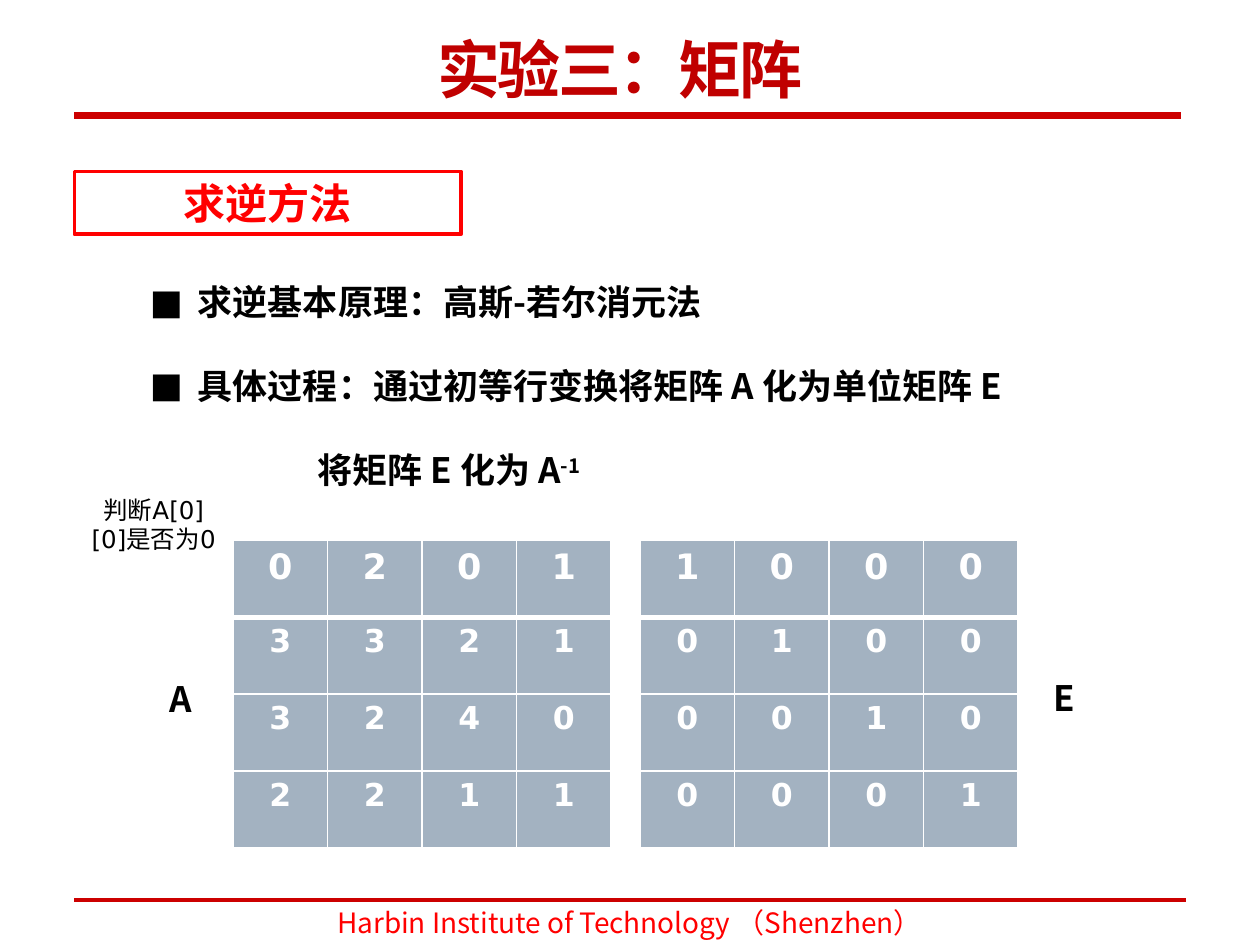
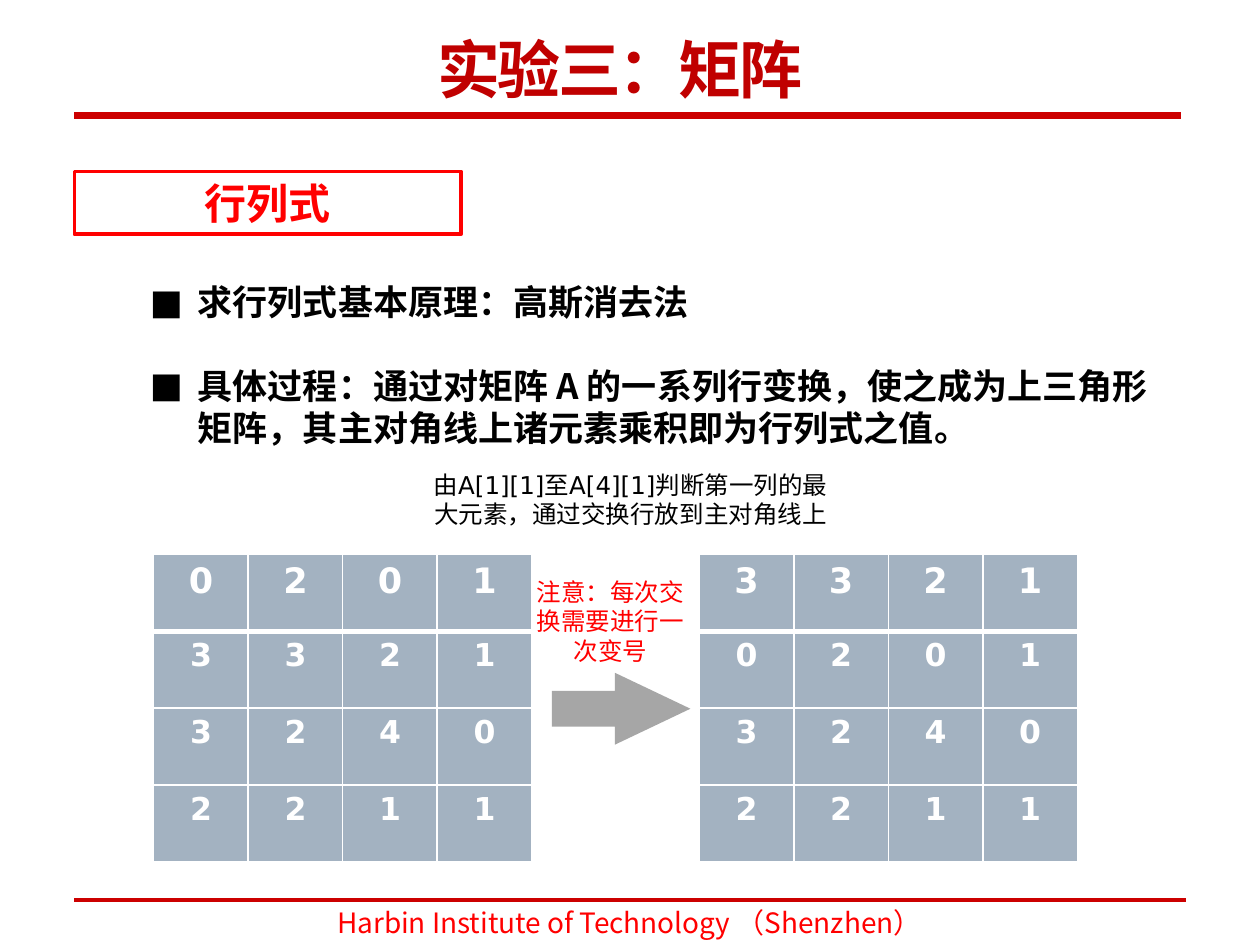
from dataclasses import dataclass

from lxml import etree
from pptx import Presentation
from pptx.dml.color import RGBColor
from pptx.enum.shapes import MSO_CONNECTOR, MSO_SHAPE
from pptx.enum.text import MSO_ANCHOR, MSO_AUTO_SIZE, PP_ALIGN
from pptx.oxml.ns import qn
from pptx.util import Inches, Pt

CENTER, LEFT = PP_ALIGN.CENTER, PP_ALIGN.LEFT
TOP, MIDDLE, BOTTOM = MSO_ANCHOR.TOP, MSO_ANCHOR.MIDDLE, MSO_ANCHOR.BOTTOM
NO_FIT = MSO_AUTO_SIZE.NONE
STRAIGHT = MSO_CONNECTOR.STRAIGHT
RECTANGLE, RIGHT_ARROW = MSO_SHAPE.RECTANGLE, MSO_SHAPE.RIGHT_ARROW


@dataclass(frozen=True)
class Theme:
    rule: str = "CC0000"
    title: str = "C00000"
    accent: str = "FF0000"
    text: str = "000000"
    cell: str = "A3B2C1"
    white: str = "FFFFFF"
    arrow: str = "A6A6A6"
    sans: str = "DejaVu Sans"
    cjk: str = "Noto Sans CJK SC"
    footer_font: str = "Noto Sans CJK JP"
    title_size: int = 36
    heading_size: int = 24
    body_size: int = 20
    cell_size: int = 18
    footer_size: int = 16
    note_size: int = 14


T = Theme()
MARGIN = 0.59
CELL_W, CELL_H = 0.75, 0.61
BODY = {"size": T.body_size, "color": T.text, "font": T.cjk, "bold": True}
NOTE = {"size": T.note_size, "color": T.text, "font": T.sans, "bold": False}
WARNING = {**NOTE, "color": T.accent}
HEADING = {**BODY, "size": T.heading_size, "color": T.accent}
TITLE = {"size": T.title_size, "color": T.title, "font": T.sans, "bold": True}
FOOTER = {"size": T.footer_size, "color": T.accent, "font": T.footer_font, "bold": False}

MATRIX_A = ["0201", "3321", "3240", "2211"]
MATRIX_E = ["1000", "0100", "0010", "0001"]
MATRIX_SWAPPED = ["3321", "0201", "3240", "2211"]


def box(*lengths):
    return [Inches(v) for v in lengths]


def rgb(color):
    return RGBColor.from_string(color)


def add_run(p, text, style):
    r = p.add_run()
    r.text = text
    for name, value in {"size": Pt(style["size"]), "bold": style["bold"],
                        "name": style["font"]}.items():
        setattr(r.font, name, value)
    r.font.color.rgb = rgb(style["color"])
    east = T.cjk if style["font"] == T.sans else style["font"]
    etree.SubElement(r._r.get_or_add_rPr(), qn("a:ea"), typeface=east)
    return r


def set_frame(tf, anchor=TOP):
    for name, value in {"auto_size": NO_FIT, "word_wrap": True,
                        "vertical_anchor": anchor}.items():
        setattr(tf, name, value)


def place(sp, at):
    for name, value in zip(("left", "top", "width", "height"), box(*at)):
        setattr(sp, name, value)


def add_text(s, at, text, style, align=CENTER):
    tf = s.shapes.add_textbox(*box(*at)).text_frame
    set_frame(tf)
    p = tf.paragraphs[0]
    p.alignment = align
    add_run(p, text, style)


def add_rule(s, layout, y, right, width):
    line = s.shapes.add_connector(STRAIGHT, *box(MARGIN, y, right, y))
    line.line.color.rgb = rgb(T.rule)
    line.line.width = Pt(width)
    etree.SubElement(line._element.spPr, qn("a:effectLst"))
    layout.shapes._spTree.append(line._element)


def add_title(s, text):
    sp = s.shapes.title
    place(sp, (1.06, 0.21, 7.72, 0.68))
    set_frame(sp.text_frame, BOTTOM)
    p = sp.text_frame.paragraphs[0]
    p.alignment = CENTER
    add_run(p, text, TITLE)._r.get_or_add_rPr().set("spc", "-150")


def add_heading(s, text):
    sp = s.shapes.add_shape(RECTANGLE, *box(MARGIN, 1.36, 3.07, 0.5))
    sp.shadow.inherit = False
    sp.fill.background()
    sp.line.color.rgb = rgb(T.accent)
    sp.line.width = Pt(2)
    set_frame(sp.text_frame, MIDDLE)
    p = sp.text_frame.paragraphs[0]
    p.alignment = CENTER
    add_run(p, text, HEADING)


def set_indent(p, left, hanging=0.0, bullet=None):
    pPr = p._p.get_or_add_pPr()
    pPr.set("marL", str(Inches(left)))
    pPr.set("indent", str(Inches(-hanging)))
    if bullet:
        etree.SubElement(pPr, qn("a:buFont"), typeface=T.sans)
        etree.SubElement(pPr, qn("a:buChar"), char=bullet)
    else:
        etree.SubElement(pPr, qn("a:buNone"))


def add_body(s, height, bullets, result=None):
    sp = s.placeholders[1]
    place(sp, (MARGIN, 2.18, 8.74, height))
    tf = sp.text_frame
    set_frame(tf)
    for i, text in enumerate(bullets + ([result] if result else [])):
        p = tf.paragraphs[0] if i == 0 else tf.add_paragraph()
        for name, value in {"alignment": LEFT, "space_before": Pt(12),
                            "space_after": Pt(12)}.items():
            setattr(p, name, value)
        if i < len(bullets):
            set_indent(p, 0.88, 0.38, "■")
            add_run(p, text, BODY)
        else:
            set_indent(p, 1.83)
            base, power = text
            add_run(p, base, BODY)
            add_run(p, power, BODY)._r.get_or_add_rPr().set("baseline", "30000")


def set_borders(cell, bottom, top):
    tcPr = cell._tc.get_or_add_tcPr()
    for i, (side, width) in enumerate((("L", 1), ("R", 1), ("T", top), ("B", bottom))):
        ln = etree.Element(qn(f"a:ln{side}"), w=str(Pt(width)))
        fill = etree.SubElement(ln, qn("a:solidFill"))
        etree.SubElement(fill, qn("a:srgbClr"), val=T.white)
        tcPr.insert(i, ln)


def add_matrix(s, left, top, rows):
    count = len(rows)
    table = s.shapes.add_table(count, count, *box(left, top, CELL_W * count, CELL_H * count)).table
    for i, row in enumerate(rows):
        table.rows[i].height = Inches(CELL_H)
        table.columns[i].width = Inches(CELL_W)
        size = T.body_size if i == 0 else T.cell_size
        style = {"size": size, "color": T.white, "font": T.sans, "bold": True}
        for j, value in enumerate(row):
            cell = table.cell(i, j)
            cell.fill.solid()
            cell.fill.fore_color.rgb = rgb(T.cell)
            set_borders(cell, 3 if i == 0 else 1, 3 if i == 1 else 1)
            p = cell.text_frame.paragraphs[0]
            p.alignment = CENTER
            add_run(p, value, style)


def add_arrow(s, at):
    sp = s.shapes.add_shape(RIGHT_ARROW, *box(*at))
    sp.shadow.inherit = False
    sp.fill.solid()
    sp.fill.fore_color.rgb = rgb(T.arrow)
    sp.line.fill.background()
    sp.adjustments[0] = 0.5
    sp.adjustments[1] = 1.05


def add_page(prs, heading):
    s = prs.slides.add_slide(prs.slide_layouts[1])
    add_title(s, "实验三：矩阵")
    add_heading(s, heading)
    add_text(s, (1.69, 7.14, 6.61, 0.36), "Harbin Institute of Technology （Shenzhen）", FOOTER)
    return s


def build_inverse(prs):
    s = add_page(prs, "求逆方法")
    add_body(s, 1.78, ["求逆基本原理：高斯-若尔消元法",
                       "具体过程：通过初等行变换将矩阵 A 化为单位矩阵 E"],
             ("将矩阵 E 化为 A", "-1"))
    add_matrix(s, 1.85, 4.29, MATRIX_A)
    add_matrix(s, 5.08, 4.29, MATRIX_E)
    add_text(s, (1.25, 5.33, 0.76, 0.44), "A", BODY, LEFT)
    add_text(s, (8.26, 5.32, 0.76, 0.44), "E", BODY, LEFT)
    add_text(s, (MARGIN, 3.88, 1.26, 0.57), "判断A[0][0]是否为0", NOTE)
    return s


def build_determinant(prs):
    s = add_page(prs, "行列式")
    add_body(s, 1.45, ["求行列式基本原理：高斯消去法",
                       "具体过程：通过对矩阵 A 的一系列行变换，使之成为上三角形矩阵，"
                       "其主对角线上诸元素乘积即为行列式之值。"])
    add_matrix(s, 1.22, 4.4, MATRIX_A)
    add_matrix(s, 5.55, 4.4, MATRIX_SWAPPED)
    add_text(s, (3.31, 3.68, 3.39, 0.81),
             "由A[1][1]至A[4][1]判断第一列的最大元素，通过交换行放到主对角线上", NOTE)
    add_arrow(s, (4.38, 5.34, 1.1, 0.57))
    add_text(s, (4.11, 4.53, 1.47, 0.81), "注意：每次交换需要进行一次变号", WARNING)


def main():
    prs = Presentation()
    prs.slide_width, prs.slide_height = box(10, 7.5)
    s = build_inverse(prs)
    add_rule(s, s.slide_layout, 0.92, 9.37, 4)
    add_rule(s, s.slide_layout, 7.14, 9.41, 2.25)
    build_determinant(prs)
    prs.save("out.pptx")


main()
